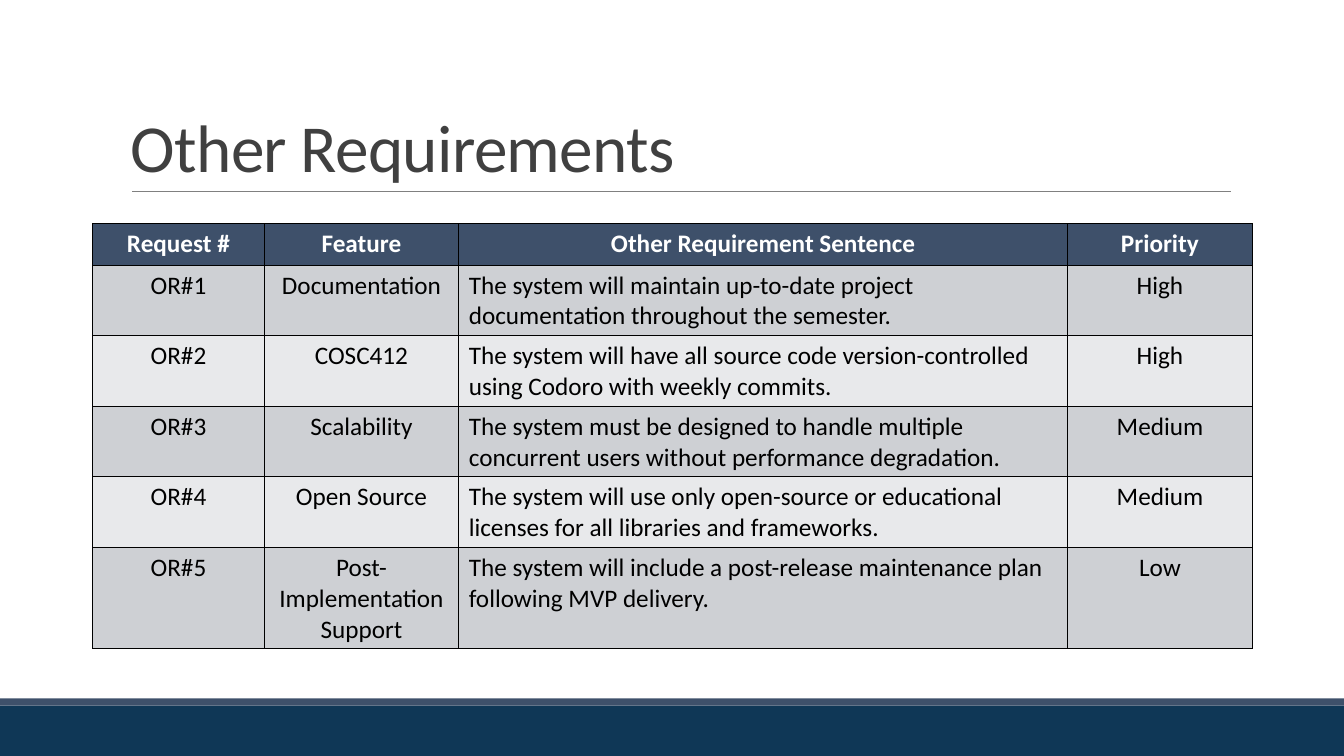
"""Build the Other Requirements slide with its table of requests."""
import pptx
import pptx.dml.color
import pptx.enum.shapes
import pptx.enum.text
import pptx.oxml
import pptx.oxml.ns
import pptx.util

Inches = pptx.util.Inches
Pt = pptx.util.Pt
ALIGN = pptx.enum.text.PP_ALIGN

TITLE = "Other Requirements"
HEADINGS = ("Request #", "Feature", "Other Requirement Sentence", "Priority")
REQUIREMENTS = [
    ("OR#1", "Documentation",
     "The system will maintain up-to-date project documentation throughout the semester.", "High"),
    ("OR#2", "COSC412",
     "The system will have all source code version-controlled using Codoro with weekly commits.", "High"),
    ("OR#3", "Scalability",
     "The system must be designed to handle multiple concurrent users without performance degradation.",
     "Medium"),
    ("OR#4", "Open Source",
     "The system will use only open-source or educational licenses for all libraries and frameworks.",
     "Medium"),
    ("OR#5", "Post-Implementation Support",
     "The system will include a post-release maintenance plan following MVP delivery.", "Low"),
]
COLUMN_WIDTHS = (1.7, 1.93, 6.04, 1.83)
ROW_HEIGHT = 0.41
SENTENCE_COLUMN = 2
SLIDE_WIDTH, SLIDE_HEIGHT = 13.33, 7.5
THEME = {
    "font": "Calibri", "title_size": 48, "table_size": 18,
    "title": "404040", "rule": "808080", "footer": "0F3756", "accent": "3E506A",
    "heading": "FFFFFF", "body": "000000", "border": "000000",
    "bands": ("CED0D4", "E8E9EB"),
}
FOOTER_BANDS = [(7, 0.5, THEME["footer"]), (6.93, 0.07, THEME["accent"])]


def rgb(color):
    return pptx.dml.color.RGBColor.from_string(color)


def write(frame, text, *, size, color, bold=False, align=ALIGN.LEFT, line_spacing=None, tracking=None):
    paragraph = frame.paragraphs[0]
    paragraph.alignment = align
    paragraph.line_spacing = line_spacing
    run = paragraph.add_run()
    run.text = text
    run.font.name = THEME["font"]
    run.font.size = Pt(size)
    run.font.bold = bold
    run.font.color.rgb = rgb(color)
    if tracking is not None:
        run._r.get_or_add_rPr().set("spc", str(int(tracking * 100)))


def add_footer(slide):
    for top, height, color in FOOTER_BANDS:
        band = slide.shapes.add_shape(pptx.enum.shapes.MSO_SHAPE.RECTANGLE, 0, Inches(top),
                                      Inches(SLIDE_WIDTH), Inches(height))
        band.shadow.inherit = False
        band.fill.solid()
        band.fill.fore_color.rgb = rgb(color)
        band.line.fill.background()


def add_title(slide):
    rule = slide.shapes.add_connector(pptx.enum.shapes.MSO_CONNECTOR.STRAIGHT,
                                      Inches(1.31), Inches(1.9), Inches(12.21), Inches(1.9))
    rule.line.color.rgb = rgb(THEME["rule"])
    rule.line.width = Pt(0.5)
    rule._element.spPr.append(pptx.oxml.parse_xml(
        f'<a:effectLst {pptx.oxml.ns.nsdecls("a")}/>'))
    title = slide.shapes.add_textbox(Inches(1.2), Inches(0.31), Inches(11), Inches(1.59)).text_frame
    title.word_wrap = True
    title.vertical_anchor = pptx.enum.text.MSO_ANCHOR.BOTTOM
    write(title, TITLE, size=THEME["title_size"], color=THEME["title"],
          line_spacing=0.85, tracking=-0.5)


def fill_cell(cell, color):
    properties = cell._tc.get_or_add_tcPr()
    for side in ("lnL", "lnR", "lnT", "lnB"):
        properties.append(pptx.oxml.parse_xml(
            f'<a:{side} {pptx.oxml.ns.nsdecls("a")} w="{Pt(1)}"><a:solidFill>'
            f'<a:srgbClr val="{THEME["border"]}"/></a:solidFill></a:{side}>'))
    cell.fill.solid()
    cell.fill.fore_color.rgb = rgb(color)


def add_requirements(slide):
    rows = [HEADINGS, *REQUIREMENTS]
    table = slide.shapes.add_table(len(rows), len(HEADINGS), Inches(0.92), Inches(2.22),
                                   Inches(sum(COLUMN_WIDTHS)), Inches(ROW_HEIGHT * len(rows))).table
    for column, width in zip(table.columns, COLUMN_WIDTHS):
        column.width = Inches(width)
    for row_index, row in enumerate(rows):
        table.rows[row_index].height = Inches(ROW_HEIGHT)
        is_heading = row_index == 0
        band = THEME["accent"] if is_heading else THEME["bands"][(row_index - 1) % 2]
        for column_index, text in enumerate(row):
            cell = table.cell(row_index, column_index)
            fill_cell(cell, band)
            is_sentence = column_index == SENTENCE_COLUMN and not is_heading
            write(cell.text_frame, text, size=THEME["table_size"], bold=is_heading,
                  color=THEME["heading" if is_heading else "body"],
                  align=ALIGN.LEFT if is_sentence else ALIGN.CENTER)


def main():
    deck = pptx.Presentation()
    deck.slide_width = Inches(SLIDE_WIDTH)
    deck.slide_height = Inches(SLIDE_HEIGHT)
    slide = deck.slides.add_slide(deck.slide_layouts[6])
    add_footer(slide)
    add_title(slide)
    add_requirements(slide)
    deck.save("out.pptx")


if __name__ == "__main__":
    main()
